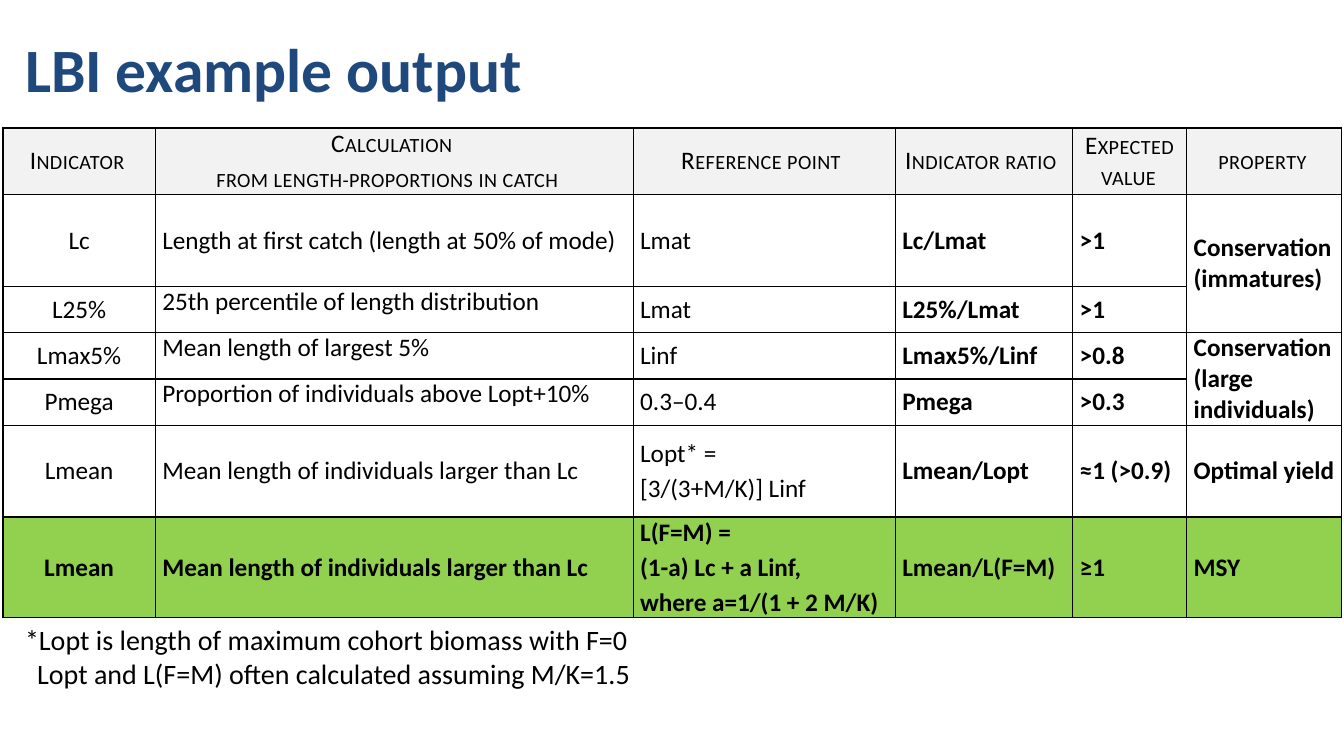
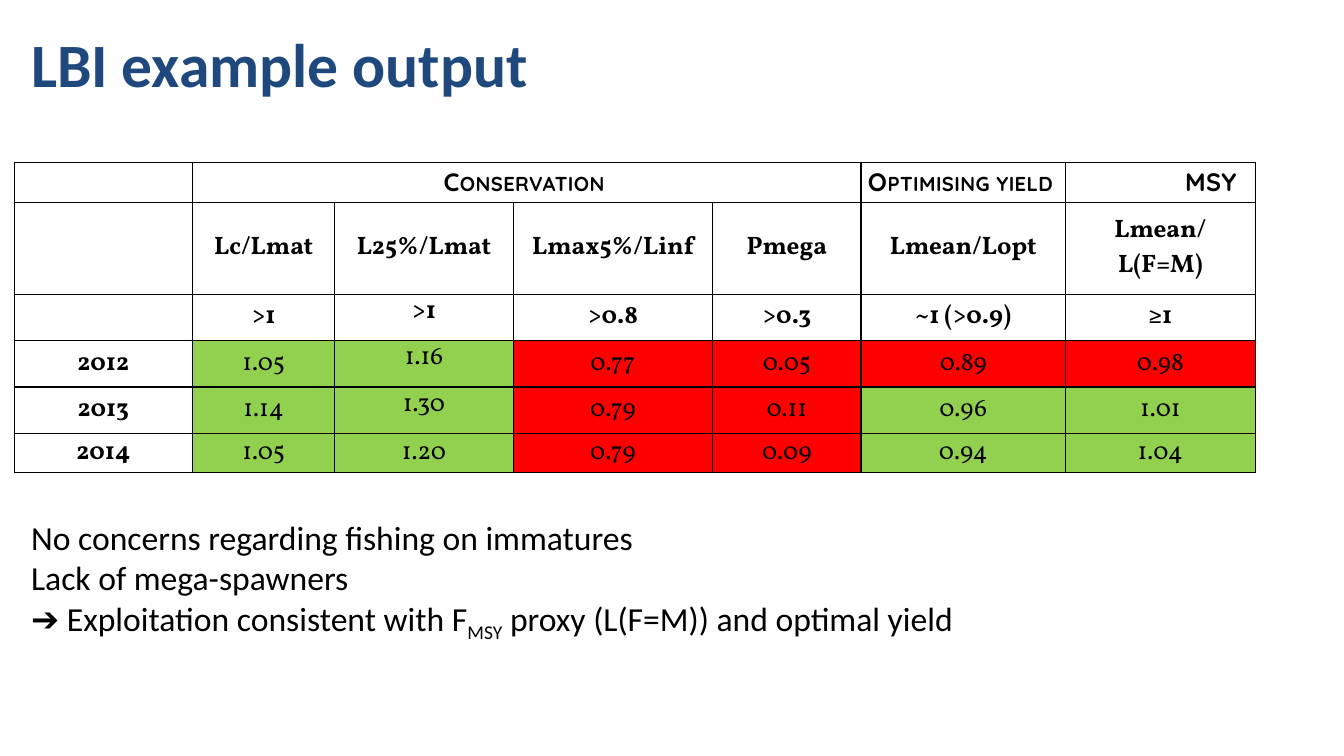
from lxml import etree
from pptx import Presentation
from pptx.dml.color import RGBColor
from pptx.enum.text import MSO_ANCHOR, PP_ALIGN
from pptx.oxml.ns import qn
from pptx.util import Inches, Pt

BLACK = RGBColor(0x00, 0x00, 0x00)
NAVY = RGBColor(0x1F, 0x49, 0x7D)
GREY = RGBColor(0xF2, 0xF2, 0xF2)
GREEN = RGBColor(0x92, 0xD0, 0x50)
RED = RGBColor(0xFF, 0x00, 0x00)
BODY, HEAD, DATA = "Calibri", "Quicksand", "Vollkorn"

# Content: None marks a cell covered by a merge
TITLE = "LBI example output"
INDICATORS = [
    ["Indicator", "Calculation\nfrom length-proportions in catch", "Reference point",
     "Indicator ratio", "Expected value", "property"],
    ["Lc", "Length at first catch (length at 50% of mode)", "Lmat", "Lc/Lmat", ">1",
     "Conservation (immatures)"],
    ["L25%", "25th percentile of length distribution", "Lmat", "L25%/Lmat", ">1", None],
    ["Lmax5%", "Mean length of largest 5%", "Linf", "Lmax5%/Linf", ">0.8",
     "Conservation (large individuals)"],
    ["Pmega", "Proportion of individuals above Lopt+10%", "0.3–0.4", "Pmega", ">0.3", None],
    ["Lmean", "Mean length of individuals larger than Lc", "Lopt* =\n[3/(3+M/K)] Linf",
     "Lmean/Lopt", "≈1 (>0.9)", "Optimal yield"],
    ["Lmean", "Mean length of individuals larger than Lc",
     "L(F=M) =\n(1-a) Lc + a Linf,\nwhere a=1/(1 + 2 M/K)", "Lmean/L(F=M)", "≥1", "MSY"],
]
INDICATOR_COLS = [1.51, 4.74, 2.6, 1.76, 1.13, 1.54]
INDICATOR_ROWS = [0.66, 0.91, 0.46, 0.46, 0.46, 0.91, 1.0]
FOOTNOTES = ["*Lopt is length of maximum cohort biomass with F=0",
             "Lopt and L(F=M) often calculated assuming M/K=1.5"]

RESULTS = [
    [None, "Conservation", None, None, None, "Optimising yield", "MSY"],
    [None, "Lc/Lmat", "L25%/Lmat", "Lmax5%/Linf", "Pmega", "Lmean/Lopt", "Lmean/L(F=M)"],
    [None, ">1", ">1", ">0.8", ">0.3", "~1 (>0.9)", "≥1"],
    ["2012", "1.05", "1.16", "0.77", "0.05", "0.89", "0.98"],
    ["2013", "1.14", "1.30", "0.79", "0.11", "0.96", "1.01"],
    ["2014", "1.05", "1.20", "0.79", "0.09", "0.94", "1.04"],
]
RESULT_COLS = [1.77, 1.41, 1.77, 1.98, 1.47, 2.03, 1.88]
RESULT_ROWS = [0.4, 0.91, 0.46, 0.46, 0.46, 0.39]
LIMITS = [1, 1, 0.8, 0.3, 0.9, 1]  # a result above its limit is green
CONCLUSIONS = ["No concerns regarding fishing on immatures", "Lack of mega-spawners",
               ("➔ Exploitation consistent with F", "MSY",
                " proxy (L(F=M)) and optimal yield")]


def set_font(p, size, name=BODY, color=BLACK, bold=False):
    f = p.font
    f.size, f.name, f.bold = Pt(size), name, bold
    f.color.rgb = color


def set_indent(p, inches):
    p._p.get_or_add_pPr().set("marL", str(Inches(inches)))


def add_text(s, box, lines, size, **font):
    """Text box; in a tuple every second part is a subscript."""
    tf = s.shapes.add_textbox(*map(Inches, box)).text_frame
    tf.word_wrap = True
    for i, line in enumerate(lines):
        p = tf.paragraphs[0] if i == 0 else tf.add_paragraph()
        for j, part in enumerate((line,) if isinstance(line, str) else line):
            r = p.add_run()
            r.text = part
            if j % 2:
                r._r.get_or_add_rPr().set("baseline", "-25000")
        set_font(p, size, **font)
    return tf


def add_title(s, box):
    tf = add_text(s, box, [TITLE], 44, color=NAVY, bold=True)
    tf.vertical_anchor = MSO_ANCHOR.MIDDLE


def add_borders(cell):
    tcPr = cell._tc.get_or_add_tcPr()
    for i, side in enumerate(("lnL", "lnR", "lnT", "lnB")):
        ln = etree.Element(qn("a:" + side), w=str(Pt(1)))
        fill = etree.SubElement(ln, qn("a:solidFill"))
        etree.SubElement(fill, qn("a:srgbClr"), val=str(BLACK))
        tcPr.insert(i, ln)


def fill_cell(cell, content, fill, name, bold, caps, center, top):
    cell.margin_left = cell.margin_right = Inches(0.07)
    cell.margin_top = cell.margin_bottom = 0
    cell.vertical_anchor = MSO_ANCHOR.TOP if top else MSO_ANCHOR.MIDDLE
    if fill is None:
        cell.fill.background()
    else:
        cell.fill.solid()
        cell.fill.fore_color.rgb = fill
    add_borders(cell)
    if content is None:
        return
    tf = cell.text_frame
    tf.text = content
    for i, p in enumerate(tf.paragraphs):
        p.alignment = PP_ALIGN.CENTER if center else PP_ALIGN.LEFT
        p.space_before, p.space_after = Pt(1.5 if i else 0), Pt(1.5)
        set_font(p, 18, name, bold=bold)
        if caps:
            defaults = p._p.pPr.get_or_add_defRPr()
            defaults.set("cap", "small")
            defaults.set("spc", "30")


def add_table(s, left, top, cols, rows, content, merges, style):
    """style(row, col) gives the look of a cell."""
    tbl = s.shapes.add_table(len(rows), len(cols), Inches(left), Inches(top),
                             Inches(sum(cols)), Inches(sum(rows))).table
    tbl.first_row = tbl.horz_banding = False
    for col, width in zip(tbl.columns, cols):
        col.width = Inches(width)
    for row, height in zip(tbl.rows, rows):
        row.height = Inches(height)
    for first, last in merges:
        tbl.cell(*first).merge(tbl.cell(*last))
    for r, texts in enumerate(content):
        for c, value in enumerate(texts):
            fill_cell(tbl.cell(r, c), value, **style(r, c))
    return tbl


def indicator_style(r, c):
    head, last = r == 0, r == len(INDICATORS) - 1
    return dict(fill=GREY if head else GREEN if last else None, name=BODY,
                bold=last or (c > 2 and not head), caps=head,
                center=head or c == 0, top=c == 1 and 2 <= r <= 4)


def result_style(r, c):
    head, result = r == 0, r > 2 and c > 0
    fill = None
    if result:
        fill = GREEN if float(RESULTS[r][c]) > LIMITS[c - 1] else RED
    return dict(fill=fill, name=HEAD if head else DATA, bold=not result, caps=head,
                center=True, top=c == 2 and 2 <= r <= 4)


def main():
    prs = Presentation()
    prs.slide_width, prs.slide_height = Inches(13.33), Inches(7.5)
    blank = prs.slide_layouts[6]

    # Indicator definitions
    s = prs.slides.add_slide(blank)
    add_table(s, 0.03, 1.27, INDICATOR_COLS, INDICATOR_ROWS, INDICATORS,
              [((1, 5), (2, 5)), ((3, 5), (4, 5))], indicator_style)
    notes = add_text(s, (0.15, 6.13, 7.67, 0.77), FOOTNOTES, 20)
    set_indent(notes.paragraphs[1], 0.12)
    add_title(s, (0.15, 0.05, 12, 1.25))

    # Results by year
    s = prs.slides.add_slide(blank)
    add_text(s, (0.21, 5.08, 11.09, 1.31), CONCLUSIONS, 24)
    tbl = add_table(s, 0.14, 1.61, RESULT_COLS, RESULT_ROWS, RESULTS,
                    [((0, 1), (0, 4))], result_style)
    set_indent(tbl.cell(0, 6).text_frame.paragraphs[0], 0.5)
    add_title(s, (0.21, 0, 12.96, 1.25))

    prs.save("out.pptx")


if __name__ == "__main__":
    main()
